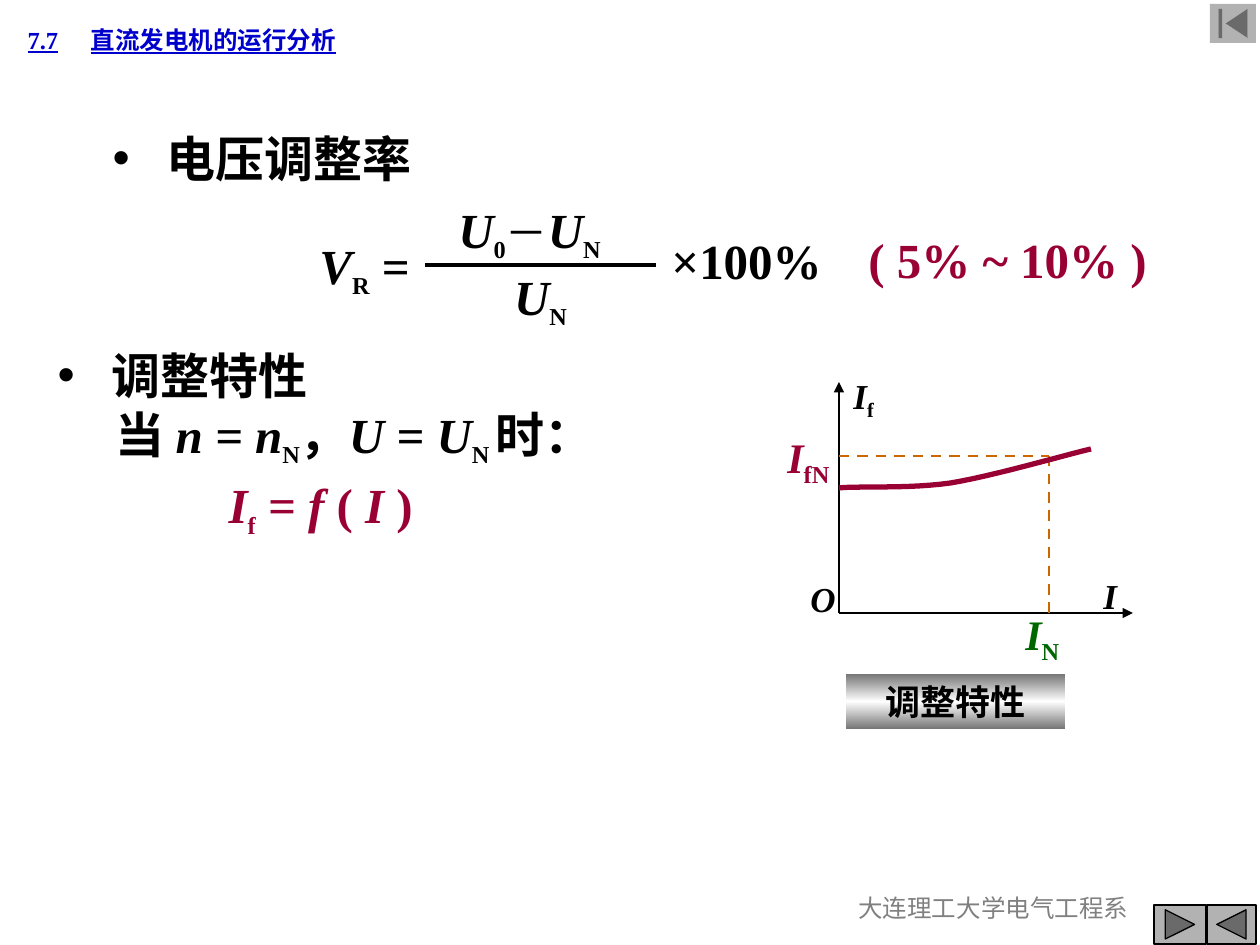
from copy import deepcopy

from pptx import Presentation
from pptx.dml.color import RGBColor
from pptx.enum import dml, lang, shapes, text
from pptx.oxml import ns
from pptx.oxml.xmlchemy import OxmlElement
from pptx import util as u

PX = 914400 // 126
BLACK, WINE, GREEN, ORANGE = "000000", "990033", "006600", "CC6600"
LEFT, CENTER = text.PP_ALIGN.LEFT, text.PP_ALIGN.CENTER

# A run is (text, style letters[, size]): b bold, i italic, s subscript, u underline.
# A paragraph is a dict with its runs and optional layout.
HEADING = [dict(runs=[("7.7\t直流发电机的运行分析", "bu", 14)], color="0000CC", tab=61)]
REGULATION = [dict(runs=[("电压调整率", "b")], bullet=True, margin=54)]
CHARACTERISTIC = [
    dict(runs=[("调整特性", "b")], bullet=True, margin=54),
    dict(runs=[("当 ", "b"), ("n = n", "bi"), ("N", "bs", 24), ("，", "b"),
               ("U = U", "bi"), ("N ", "bs", 24), ("时：", "b")], margin=58),
    dict(runs=[("I", "bi"), ("f", "bs", 24), (" = f ", "bi"), ("( ", "b"),
               ("I ", "bi"), (")", "b")], margin=171, before=3.5, color=WINE),
]
# (left, top, width, height), paragraphs
TEXTS = [
    ((794, 887, 399, 63), [dict(runs=[("大连理工大学电气工程系", "", 14)],
                                color="808080", align=CENTER)]),
    ((307, 229, 134, 77), [dict(runs=[("V", "bi"), ("R", "bs", 24), (" =", "b")])]),
    ((446, 193, 189, 144), [
        dict(runs=[("U", "bi"), ("0", "bs", 24), ("－", "", 24), ("U", "bi"), ("N", "bs", 24)]),
        dict(runs=[("U", "bi"), ("N", "bs", 24)], align=CENTER, before=1.5)]),
    ((659, 224, 180, 72), [dict(runs=[("×100%", "b")])]),
    ((856, 223, 305, 72), [dict(runs=[("( 5% ~ 10% )", "b")], color=WINE)]),
    ((798, 571, 32, 55), [dict(runs=[("O", "bi", 20)])]),
    ((1091, 568, 40, 55), [dict(runs=[("I", "bi", 20)])]),
    ((841, 368, 56, 60), [dict(runs=[("I", "bi", 20), ("f", "bs", 20)])]),
    ((775, 425, 72, 71), [dict(runs=[("I", "bi", 24), ("fN", "bs", 24)], color=WINE)]),
    ((1013, 602, 64, 71), [dict(runs=[("I", "bi", 24), ("N", "bs", 24)], color=GREEN)]),
]
CAPTION = [dict(runs=[("调整特性", "b", 20)], align=CENTER)]

ORIGIN, RATED = (839, 613), (1049, 456)
# start, end, colour, width, kind
LINES = [
    ((425, 265), (656, 265), BLACK, 2.25, "plain"),
    (ORIGIN, (1133, 613), BLACK, 1.5, "arrow"),
    (ORIGIN, (839, 382), BLACK, 1.5, "arrow"),
    ((ORIGIN[0], RATED[1]), RATED, ORANGE, 1.5, "dash"),
    ((RATED[0], ORIGIN[1]), RATED, ORANGE, 1.5, "dash"),
]
CURVE = [
    ((839, 488), (858, 486), (910, 489), (951, 483)),
    ((951, 483), (993, 476), (1062, 456), (1091, 449)),
]
KIND = shapes.MSO_SHAPE
BUTTONS = [
    (KIND.ACTION_BUTTON_FORWARD_OR_NEXT, (1154, 905, 52, 39), True),
    (KIND.ACTION_BUTTON_BACK_OR_PREVIOUS, (1207, 905, 49, 39), True),
    (KIND.ACTION_BUTTON_BEGINNING, (1210, 4, 46, 39), False),
]


def rgb(value):
    return RGBColor.from_string(value)


def emu(box):
    return [value * PX for value in box]


def add_child(parent, tag, **attributes):
    child = OxmlElement(tag)
    for key, value in attributes.items():
        child.set(key, str(value))
    parent.append(child)
    return child


def write(shape, paragraphs, anchor=text.MSO_ANCHOR.TOP):
    frame = shape.text_frame
    frame.word_wrap = True
    frame.auto_size = text.MSO_AUTO_SIZE.NONE
    frame.vertical_anchor = anchor
    frame.margin_left = frame.margin_right = u.Inches(0.1)
    frame.margin_top = frame.margin_bottom = u.Inches(0.05)
    for index, item in enumerate(paragraphs):
        paragraph = frame.add_paragraph() if index else frame.paragraphs[0]
        paragraph.alignment = item.get("align", LEFT)
        paragraph.space_before = u.Pt(item.get("before", 0))
        properties = paragraph._p.get_or_add_pPr()
        margin = item.get("margin", 0) * PX
        properties.set("marL", str(margin))
        if item.get("bullet"):
            properties.set("indent", str(-margin))
            add_child(properties, "a:buChar", char="•")
        else:
            properties.set("indent", "0")
            add_child(properties, "a:buNone")
        if "tab" in item:
            tabs = add_child(properties, "a:tabLst")
            add_child(tabs, "a:tab", pos=item["tab"] * PX, algn="l")
        for words, style, *size in item["runs"]:
            run = paragraph.add_run()
            run.text = words
            font = run.font
            font.name = "Times New Roman"
            font.size = u.Pt(size[0] if size else 28)
            font.bold, font.italic, font.underline = (key in style for key in "biu")
            font.color.rgb = rgb(item.get("color", BLACK))
            font.language_id = lang.MSO_LANGUAGE_ID.SIMPLIFIED_CHINESE
            if "s" in style:
                run._r.get_or_add_rPr().set("baseline", "-25000")


def place(shape, box):
    shape.left, shape.top, shape.width, shape.height = emu(box)
    return shape


def draw_line(slide, start, end, color, width, kind):
    connector = slide.shapes.add_connector(
        shapes.MSO_CONNECTOR.STRAIGHT, *emu(start + end))
    connector.line.color.rgb = rgb(color)
    connector.line.width = u.Pt(width)
    if kind == "dash":
        connector.line.dash_style = dml.MSO_LINE.DASH
    if kind == "arrow":
        add_child(connector.line._get_or_add_ln(), "a:tailEnd", type="triangle")
    add_child(connector._element.spPr, "a:effectLst")


def bezier(points, t):
    weights = ((1 - t) ** 3, 3 * t * (1 - t) ** 2, 3 * t * t * (1 - t), t ** 3)
    return tuple(round(PX * sum(w * p[axis] for w, p in zip(weights, points)))
                 for axis in (0, 1))


def draw_curve(slide, segments, steps=12):
    points = [bezier(segment, step / steps)
              for segment in segments for step in range(1, steps + 1)]
    builder = slide.shapes.build_freeform(*emu(segments[0][0]))
    builder.add_line_segments(points, close=False)
    curve = builder.convert_to_shape()
    curve.shadow.inherit = False
    curve.fill.background()
    curve.line.color.rgb = rgb(WINE)
    curve.line.width = u.Pt(3)


def draw_caption(slide):
    caption = slide.shapes.add_shape(KIND.RECTANGLE, *emu((846, 674, 219, 55)))
    caption.shadow.inherit = False
    caption.line.fill.background()
    caption.fill.gradient()
    caption.fill.gradient_angle = 90
    first = caption._element.spPr.find(".//" + ns.qn("a:gs"))
    middle = deepcopy(first)
    middle.set("pos", "50000")
    first.addnext(middle)
    for stop, color in zip(caption.fill.gradient_stops, ("767676", "FFFFFF", "767676")):
        stop.color.rgb = rgb(color)
    write(caption, CAPTION)


def main():
    deck = Presentation()
    deck.slide_width, deck.slide_height = u.Inches(10), u.Inches(7.5)
    slide = deck.slides.add_slide(deck.slide_layouts[3])
    heading, regulation, characteristic = slide.placeholders
    write(place(heading, (15, 18, 444, 43)), HEADING, text.MSO_ANCHOR.MIDDLE)
    write(place(regulation, (100, 122, 423, 72)), REGULATION)
    write(place(characteristic, (45, 339, 682, 207)), CHARACTERISTIC)
    for box, paragraphs in TEXTS:
        write(slide.shapes.add_textbox(*emu(box)), paragraphs)
    for line in LINES:
        draw_line(slide, *line)
    draw_curve(slide, CURVE)
    draw_caption(slide)
    for kind, box, outlined in BUTTONS:
        button = slide.shapes.add_shape(kind, *emu(box))
        button.shadow.inherit = False
        button.fill.solid()
        button.fill.fore_color.rgb = rgb("B2B2B2")
        if outlined:
            button.line.color.rgb = rgb(BLACK)
            button.line.width = u.Pt(0.75)
        else:
            button.line.fill.background()
    deck.save("out.pptx")


if __name__ == "__main__":
    main()
